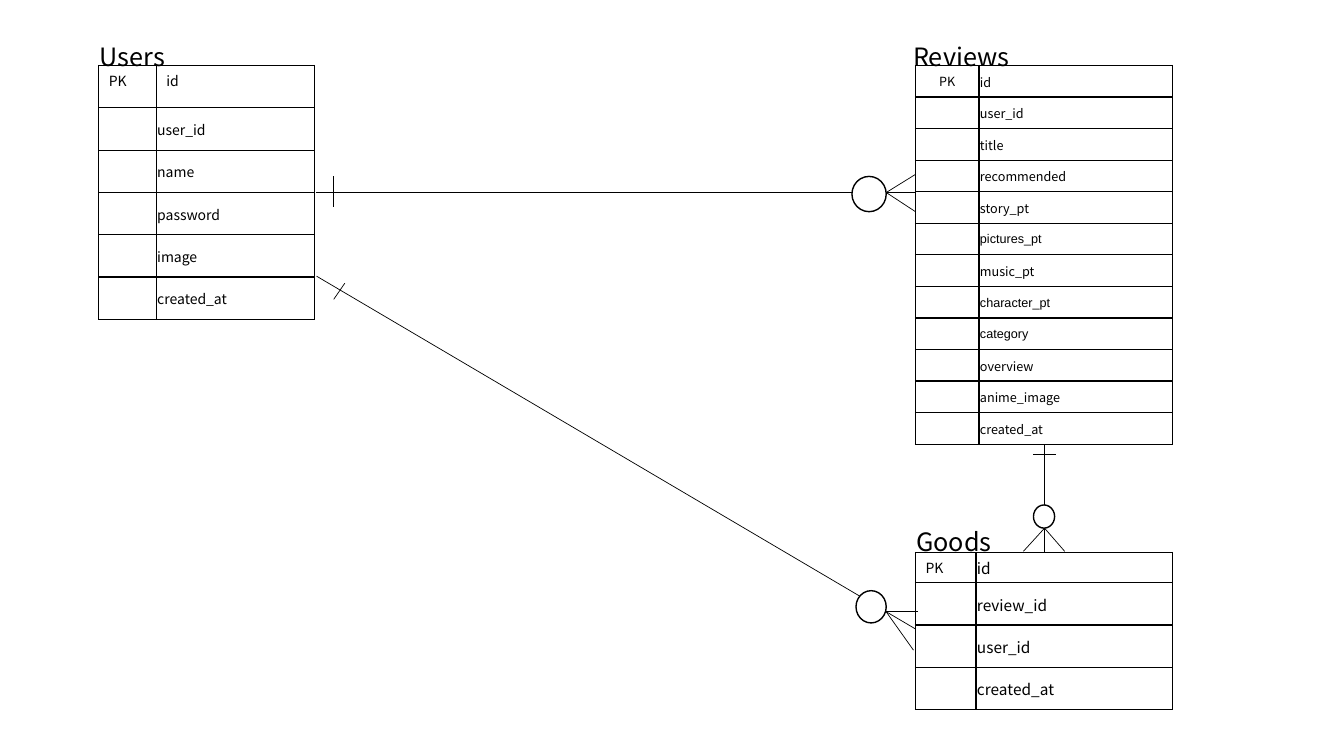
from dataclasses import dataclass

from lxml import etree
from pptx import Presentation
from pptx import util as u
from pptx.dml import color
from pptx.enum import shapes, text
from pptx.oxml import ns

Inches = u.Inches


@dataclass(frozen=True)
class Theme:
    ink: color.RGBColor = color.RGBColor(0, 0, 0)
    paper: color.RGBColor = color.RGBColor(255, 255, 255)
    face: str = "Noto Sans CJK JP"
    plain: str = "Arial"
    title: int = 18
    large: int = 11
    body: int = 10
    small: int = 9
    thin: float = 0.5
    thick: float = 1


THEME = Theme()
MID = text.MSO_ANCHOR.MIDDLE
TOP = text.MSO_ANCHOR.TOP


@dataclass(frozen=True)
class Table:
    name: str
    name_x: float
    name_y: float
    left: float
    top: float
    widths: tuple[float, float]
    head: float
    row: float
    fields: tuple[str, ...]
    key_size: int
    size: int
    key_mid: bool = False
    id_pad: bool = False
    plain: tuple[str, ...] = ()


@dataclass(frozen=True)
class Line:
    x1: float
    y1: float
    x2: float
    y2: float


@dataclass(frozen=True)
class Ring:
    left: float
    top: float
    width: float
    height: float


@dataclass(frozen=True)
class Link:
    lines: tuple[Line, ...]
    ring: Ring


TABLES = (
    Table("Users", 0.89, 0.36, 0.98, 0.65, (0.57, 1.57), 0.42, 0.42,
          ("id", "user_id", "name", "password", "image", "created_at"),
          THEME.body, THEME.body, id_pad=True),
    Table("Reviews", 8.96, 0.36, 9.08, 0.65, (0.63, 1.92), 3.76 / 12, 3.76 / 12,
          ("id", "user_id", "title", "recommended", "story_pt", "pictures_pt",
           "music_pt", "character_pt", "category", "overview", "anime_image",
           "created_at"),
          THEME.small, THEME.small, key_mid=True,
          plain=("pictures_pt", "character_pt", "category")),
    Table("Goods", 8.99, 5.17, 9.08, 5.48, (0.6, 1.95), 0.3, 0.42,
          ("id", "review_id", "user_id", "created_at"),
          THEME.body, THEME.large),
)

LINKS = (
    Link((Line(3.13, 1.91, 9.08, 1.91), Line(3.31, 1.75, 3.31, 2.05),
          Line(9.08, 1.73, 8.79, 1.91), Line(8.79, 1.91, 9.08, 2.1)),
         Ring(8.45, 1.75, 0.34, 0.35)),
    Link((Line(3.14, 2.74, 9.08, 6.24), Line(3.42, 2.81, 3.31, 2.97),
          Line(8.79, 6.07, 9.1, 6.07), Line(8.79, 6.07, 9.06, 6.45)),
         Ring(8.49, 5.86, 0.3, 0.32)),
    Link((Line(10.36, 4.41, 10.36, 5.48), Line(10.47, 4.51, 10.25, 4.51),
          Line(10.36, 5.24, 10.56, 5.47), Line(10.15, 5.47, 10.36, 5.24)),
         Ring(10.25, 5.01, 0.21, 0.23)),
)


def add_run(para, words: str, size: int, face: str = THEME.face) -> None:
    run = para.add_run()
    run.text = words
    run.font.size = u.Pt(size)
    run.font.name = face
    run.font.color.rgb = THEME.ink


def frame_cell(cell) -> None:
    props = cell._tc.get_or_add_tcPr()
    for side in ("lnL", "lnR", "lnT", "lnB"):
        edge = etree.SubElement(props, ns.qn(f"a:{side}"), w=str(u.Pt(THEME.thick)))
        fill = etree.SubElement(edge, ns.qn("a:solidFill"))
        etree.SubElement(fill, ns.qn("a:srgbClr"), val=str(THEME.ink))
    cell.fill.background()


def pack_cell(cell) -> None:
    cell.vertical_anchor = MID
    cell.margin_left = cell.margin_right = cell.margin_top = Inches(0.01)
    cell.margin_bottom = 0


def add_table(slide, item: Table) -> None:
    count = len(item.fields)
    high = item.head + item.row * (count - 1)
    grid = slide.shapes.add_table(
        count, 2, Inches(item.left), Inches(item.top),
        Inches(sum(item.widths)), Inches(high)).table
    grid.first_row = grid.horz_banding = False
    for col, width in zip(grid.columns, item.widths):
        col.width = Inches(width)
    for i, field in enumerate(item.fields):
        grid.rows[i].height = Inches(item.row if i else item.head)
        key, name = grid.cell(i, 0), grid.cell(i, 1)
        frame_cell(key)
        frame_cell(name)
        para = key.text_frame.paragraphs[0]
        if i == 0:
            add_run(para, "PK", item.key_size)
            if item.key_mid:
                key.vertical_anchor = MID
                para.alignment = text.PP_ALIGN.CENTER
        else:
            pack_cell(key)
            etree.SubElement(para._p, ns.qn("a:endParaRPr"), sz=str(item.size * 100))
        if i == 0 and item.id_pad:
            name.vertical_anchor = TOP
        else:
            pack_cell(name)
        face = THEME.plain if field in item.plain else THEME.face
        add_run(name.text_frame.paragraphs[0], field, item.size, face)


def add_title(slide, item: Table) -> None:
    box = slide.shapes.add_textbox(
        Inches(item.name_x), Inches(item.name_y), Inches(1.36), Inches(0.4))
    box.text_frame.word_wrap = True
    add_run(box.text_frame.paragraphs[0], item.name, THEME.title)


def add_line(slide, item: Line) -> None:
    line = slide.shapes.add_connector(
        shapes.MSO_CONNECTOR.STRAIGHT, Inches(item.x1), Inches(item.y1),
        Inches(item.x2), Inches(item.y2))
    line.line.color.rgb = THEME.ink
    line.line.width = u.Pt(THEME.thin)
    etree.SubElement(line._element.spPr, ns.qn("a:effectLst"))


def add_ring(slide, item: Ring) -> None:
    ring = slide.shapes.add_shape(
        shapes.MSO_SHAPE.OVAL, Inches(item.left), Inches(item.top),
        Inches(item.width), Inches(item.height))
    ring.shadow.inherit = False
    ring.fill.solid()
    ring.fill.fore_color.rgb = THEME.paper
    ring.line.color.rgb = THEME.ink
    ring.line.width = u.Pt(THEME.thick)


deck = Presentation()
deck.slide_width, deck.slide_height = Inches(13.33), Inches(7.5)
slide = deck.slides.add_slide(deck.slide_layouts[6])
for item in TABLES:
    add_table(slide, item)
for item in TABLES:
    add_title(slide, item)
for link in LINKS:
    for line in link.lines:
        add_line(slide, line)
    add_ring(slide, link.ring)
deck.save("out.pptx")
